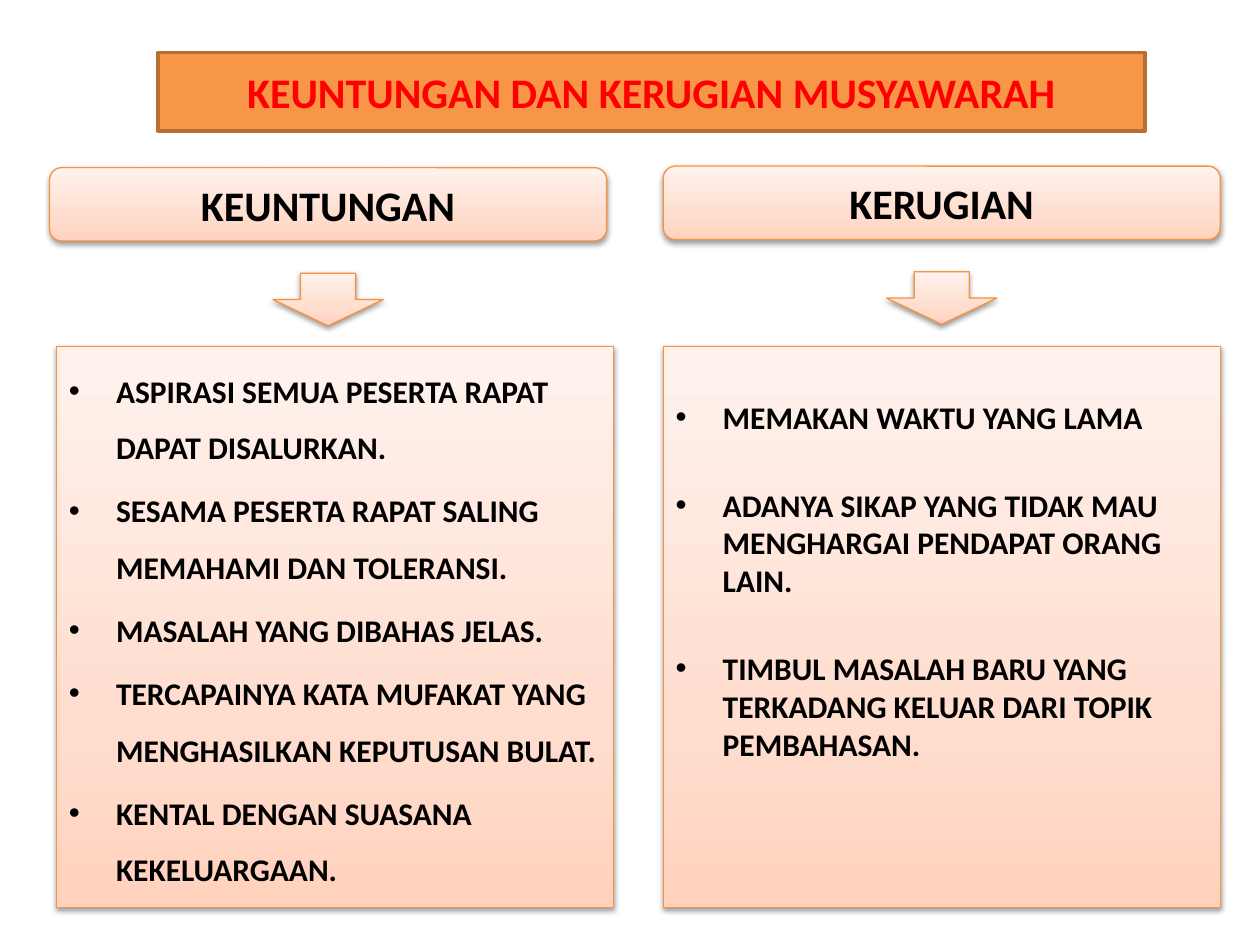
import pptx
import pptx.util
import pptx.oxml
import pptx.dml.color
import pptx.enum.shapes
import pptx.enum.text
from pptx.util import Cm

TITLE = "KEUNTUNGAN DAN KERUGIAN MUSYAWARAH"
COLUMNS = [
    {
        "heading": "KEUNTUNGAN",
        "points": [
            "ASPIRASI SEMUA PESERTA RAPAT DAPAT DISALURKAN.",
            "SESAMA PESERTA RAPAT SALING MEMAHAMI DAN TOLERANSI.",
            "MASALAH YANG DIBAHAS JELAS.",
            "TERCAPAINYA KATA MUFAKAT YANG MENGHASILKAN KEPUTUSAN BULAT.",
            "KENTAL DENGAN SUASANA KEKELUARGAAN.",
        ],
        "heading_left": 1.0, "heading_top": 3.38, "body_left": 1.14,
        "line_spacing": 1.5, "space_before": 3.6, "top_inset": 0.13,
    },
    {
        "heading": "KERUGIAN",
        "points": [
            "MEMAKAN WAKTU YANG LAMA",
            "ADANYA SIKAP YANG TIDAK MAU MENGHARGAI PENDAPAT ORANG LAIN.",
            "TIMBUL MASALAH BARU YANG TERKADANG KELUAR DARI TOPIK PEMBAHASAN.",
        ],
        "heading_left": 13.37, "heading_top": 3.35, "body_left": 13.37,
        "line_spacing": 1.0, "space_before": 28.6, "top_inset": 1.04,
    },
]
COLORS = {
    "title_fill": "F79646", "title_line": "B76F34", "title_text": "FF0000",
    "panel_line": "F69240", "text": "000000", "shadow": "000000",
}
PANEL_STOPS = [(0, "FFD2BD"), (35, "FFDED0"), (100, "FFF2ED")]
FONT = "Calibri"
COLUMN_WIDTH = 11.23
HEADING_HEIGHT = 1.48
ARROW_WIDTH, ARROW_HEIGHT = 2.22, 1.06
ARROW_OFFSET = 2.13
BODY_TOP, BODY_HEIGHT = 6.98, 11.31
BULLET_INDENT = 0.95
NAMESPACE = 'xmlns:a="http://schemas.openxmlformats.org/drawingml/2006/main"'
SHAPES = pptx.enum.shapes.MSO_SHAPE
ALIGN = pptx.enum.text.PP_ALIGN
ANCHOR = pptx.enum.text.MSO_ANCHOR


def rgb(name):
    return pptx.dml.color.RGBColor.from_string(COLORS[name])


def format_font(font, size, color):
    font.name = FONT
    font.size = pptx.util.Pt(size)
    font.bold = True
    font.color.rgb = rgb(color)


def set_centred_text(shape, text, color):
    shape.text_frame.text = text
    shape.text_frame.vertical_anchor = ANCHOR.MIDDLE
    paragraph = shape.text_frame.paragraphs[0]
    paragraph.alignment = ALIGN.CENTER
    format_font(paragraph.runs[0].font, 24, color)


def add_panel(slide, kind, left, top, width, height):
    shape = slide.shapes.add_shape(kind, Cm(left), Cm(top), Cm(width), Cm(height))
    shape.fill.gradient()
    shape.fill.gradient_angle = 90
    stops = "".join(
        f'<a:gs pos="{position * 1000}"><a:srgbClr val="{color}"/></a:gs>'
        for position, color in PANEL_STOPS
    )
    properties = shape.element.spPr
    stop_list = properties.find(".//" + pptx.oxml.ns.qn("a:gsLst"))
    stop_list.getparent().replace(
        stop_list, pptx.oxml.parse_xml(f"<a:gsLst {NAMESPACE}>{stops}</a:gsLst>")
    )
    shape.line.color.rgb = rgb("panel_line")
    shape.line.width = pptx.util.Pt(0.75)
    properties.append(pptx.oxml.parse_xml(
        f'<a:effectLst {NAMESPACE}>'
        '<a:outerShdw blurRad="40000" dist="20000" dir="5400000" rotWithShape="0">'
        f'<a:srgbClr val="{COLORS["shadow"]}"><a:alpha val="38000"/></a:srgbClr>'
        '</a:outerShdw></a:effectLst>'
    ))
    return shape


def add_bullets(shape, column):
    frame = shape.text_frame
    frame.text = "\n".join(column["points"])
    frame.word_wrap = True
    frame.vertical_anchor = ANCHOR.TOP
    frame.margin_top = Cm(column["top_inset"])
    for index, paragraph in enumerate(frame.paragraphs):
        paragraph.alignment = ALIGN.LEFT
        paragraph.line_spacing = column["line_spacing"]
        if index:
            paragraph.space_before = pptx.util.Pt(column["space_before"])
        properties = paragraph._p.get_or_add_pPr()
        properties.set("marL", str(Cm(BULLET_INDENT)))
        properties.set("indent", str(-Cm(BULLET_INDENT)))
        properties.append(pptx.oxml.parse_xml(f'<a:buFont {NAMESPACE} typeface="Arial"/>'))
        properties.append(pptx.oxml.parse_xml(f'<a:buChar {NAMESPACE} char="•"/>'))
        format_font(paragraph.runs[0].font, 18, "text")


def add_column(slide, column):
    left, top = column["heading_left"], column["heading_top"]
    body = add_panel(slide, SHAPES.RECTANGLE, column["body_left"], BODY_TOP,
                     COLUMN_WIDTH, BODY_HEIGHT)
    add_bullets(body, column)
    heading = add_panel(slide, SHAPES.ROUNDED_RECTANGLE, left, top,
                        COLUMN_WIDTH, HEADING_HEIGHT)
    set_centred_text(heading, column["heading"], "text")
    add_panel(slide, SHAPES.DOWN_ARROW, left + (COLUMN_WIDTH - ARROW_WIDTH) / 2,
              top + ARROW_OFFSET, ARROW_WIDTH, ARROW_HEIGHT)


def main():
    presentation = pptx.Presentation()
    presentation.slide_width, presentation.slide_height = Cm(25.4), Cm(19.05)
    slide = presentation.slides.add_slide(presentation.slide_layouts.get_by_name("Title Only"))
    title = slide.shapes.title
    title.left, title.top, title.width, title.height = Cm(3.18), Cm(1.06), Cm(19.9), Cm(1.58)
    title.fill.solid()
    title.fill.fore_color.rgb = rgb("title_fill")
    title.line.color.rgb = rgb("title_line")
    title.line.width = pptx.util.Pt(2)
    set_centred_text(title, TITLE, "title_text")
    for column in COLUMNS:
        add_column(slide, column)
    presentation.save("out.pptx")


if __name__ == "__main__":
    main()
